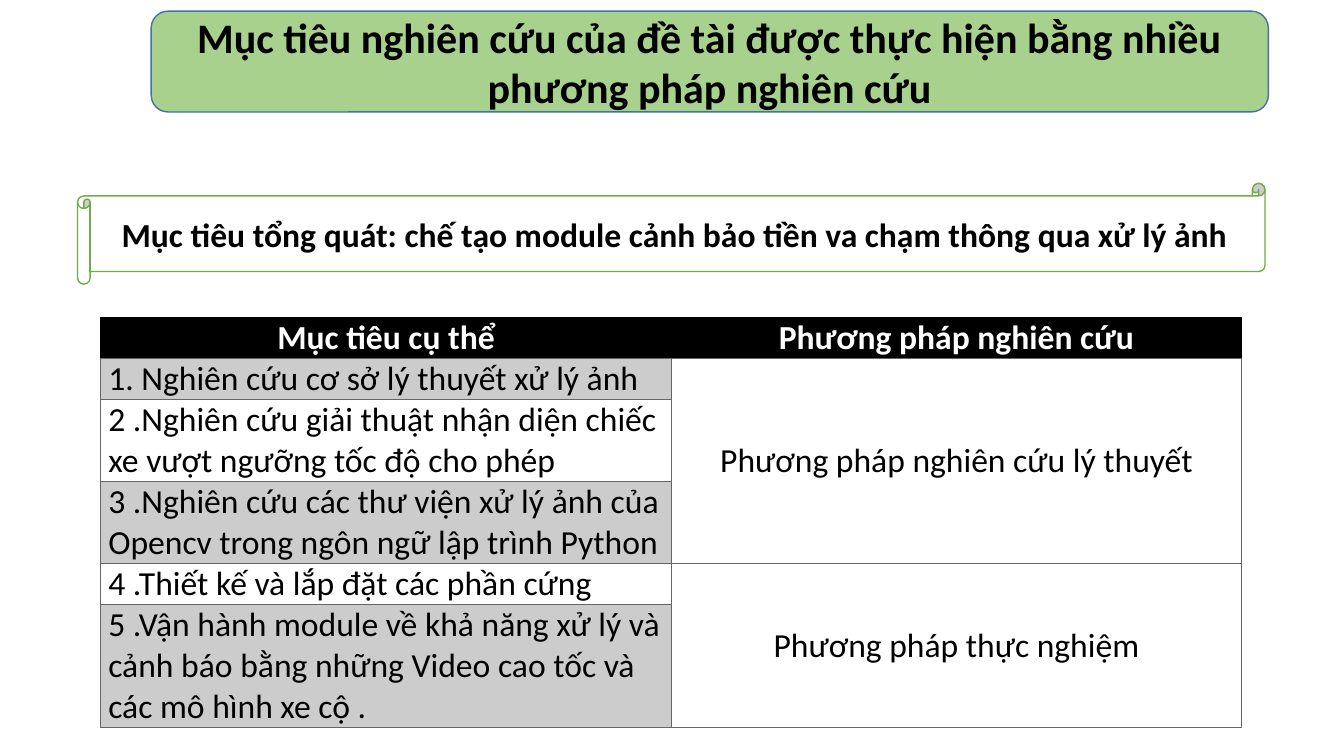
import pptx
import pptx.dml.color
import pptx.enum.shapes
import pptx.enum.text
import pptx.oxml
import pptx.oxml.ns
import pptx.util

Pt = pptx.util.Pt
RGB = pptx.dml.color.RGBColor
SHAPE = pptx.enum.shapes.MSO_SHAPE
CENTER = pptx.enum.text.PP_ALIGN.CENTER
LEFT = pptx.enum.text.PP_ALIGN.LEFT
MIDDLE = pptx.enum.text.MSO_ANCHOR.MIDDLE
TOP = pptx.enum.text.MSO_ANCHOR.TOP

BLACK = RGB(0x00, 0x00, 0x00)
WHITE = RGB(0xFF, 0xFF, 0xFF)
BAND = RGB(0xCC, 0xCC, 0xCC)
GRID = RGB(0x66, 0x66, 0x66)
TITLE_FILL = RGB(0xA9, 0xD1, 0x8E)
TITLE_LINE = RGB(0x43, 0x73, 0x9E)
SCROLL_LINE = RGB(0x70, 0xAD, 0x47)

FONT = "Calibri"
LINE_HEIGHT = 29.3

HEADERS = ["Mục tiêu cụ thể", "Phương pháp nghiên cứu"]
# Each goal with the number of lines it fills
GOALS = [
    ("1. Nghiên cứu cơ sở lý thuyết xử lý ảnh", 1),
    ("2 .Nghiên cứu giải thuật nhận diện chiếc xe vượt ngưỡng tốc độ cho phép", 2),
    ("3 .Nghiên cứu các thư viện xử lý ảnh của Opencv trong ngôn ngữ lập trình Python", 2),
    ("4 .Thiết kế và lắp đặt các phần cứng", 1),
    ("5 .Vận hành module về khả năng xử lý và cảnh báo bằng những Video cao tốc "
     "và các mô hình xe cộ .", 3),
]
# Each method with its first and last row
METHODS = [
    ("Phương pháp nghiên cứu lý thuyết", 1, 3),
    ("Phương pháp thực nghiệm", 4, 5),
]


def write(tf, text, size, color=BLACK, bold=False, align=CENTER):
    tf.text = text
    tf.word_wrap = True
    p = tf.paragraphs[0]
    p.alignment = align
    font = p.runs[0].font
    font.name, font.size, font.bold = FONT, Pt(size), bold
    font.color.rgb = color


def add_banner(slide, box, kind, fill, line, text, size):
    sp = slide.shapes.add_shape(kind, *map(Pt, box))
    sp.shadow.inherit = False
    sp.fill.solid()
    sp.fill.fore_color.rgb = fill
    sp.line.color.rgb = line
    sp.line.width = Pt(1)
    sp.text_frame.vertical_anchor = MIDDLE
    write(sp.text_frame, text, size, bold=True)


def set_borders(cell, color):
    tcPr = cell._tc.get_or_add_tcPr()
    for side in ("lnL", "lnR", "lnT", "lnB"):
        tcPr.append(pptx.oxml.parse_xml(
            f'<a:{side} {pptx.oxml.ns.nsdecls("a")} w="{Pt(1)}"><a:solidFill>'
            f'<a:srgbClr val="{color}"/></a:solidFill></a:{side}>'))


def format_cell(cell, border, fill=None):
    set_borders(cell, border)
    cell.margin_left = cell.margin_right = Pt(5.4)
    cell.margin_top = cell.margin_bottom = Pt(0)
    if fill is None:
        cell.fill.background()
    else:
        cell.fill.solid()
        cell.fill.fore_color.rgb = fill


def add_goal_table(slide, left, top, width):
    lines = [1] + [count for _, count in GOALS]
    frame = slide.shapes.add_table(len(lines), len(HEADERS), Pt(left), Pt(top),
                                   Pt(width), Pt(sum(lines) * LINE_HEIGHT))
    table = frame.table
    for row, count in zip(table.rows, lines):
        row.height = Pt(count * LINE_HEIGHT)

    for col, text in enumerate(HEADERS):
        cell = table.cell(0, col)
        format_cell(cell, BLACK, BLACK)
        write(cell.text_frame, text, 24, WHITE, bold=True)

    for row, (text, _) in enumerate(GOALS, start=1):
        goal = table.cell(row, 0)
        format_cell(goal, GRID, BAND if row % 2 else None)
        goal.vertical_anchor = TOP
        write(goal.text_frame, text, 24, align=LEFT)
        format_cell(table.cell(row, 1), GRID)

    for text, first, last in METHODS:
        cell = table.cell(first, 1)
        cell.merge(table.cell(last, 1))
        cell.vertical_anchor = MIDDLE
        write(cell.text_frame, text, 24)


def main():
    prs = pptx.Presentation()
    prs.slide_width, prs.slide_height = Pt(960), Pt(540)
    s = prs.slides.add_slide(prs.slide_layouts[6])
    add_banner(s, (108, 8, 798, 72), SHAPE.ROUNDED_RECTANGLE, TITLE_FILL, TITLE_LINE,
               "Mục tiêu nghiên cứu của đề tài được thực hiện bằng nhiều "
               "phương pháp nghiên cứu", 30)
    add_goal_table(s, 72, 226.8, 815)
    add_banner(s, (55.4, 131, 848.2, 72), SHAPE.HORIZONTAL_SCROLL, WHITE, SCROLL_LINE,
               "Mục tiêu tổng quát: chế tạo module cảnh bảo tiền va chạm "
               "thông qua xử lý ảnh", 24)
    prs.save("out.pptx")


if __name__ == "__main__":
    main()
